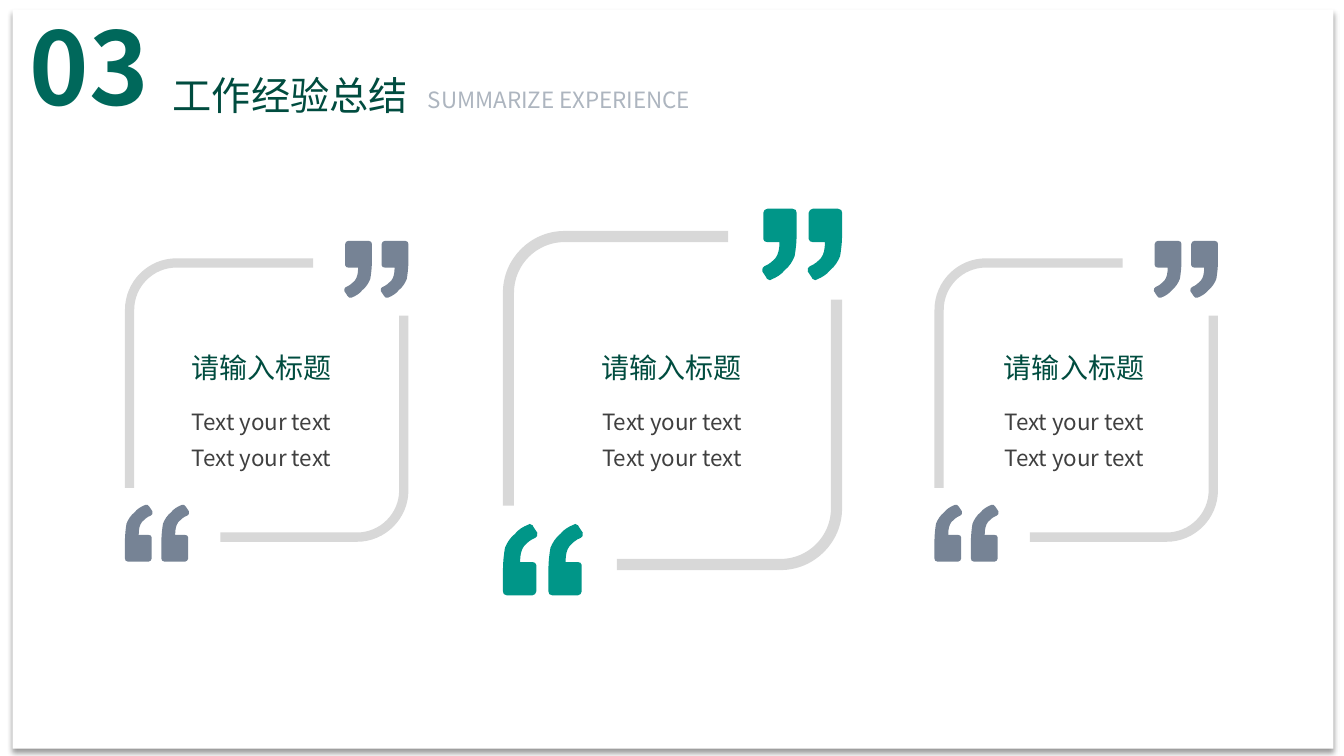
from lxml import etree
from pptx import Presentation
from pptx import util as u
from pptx.dml.color import RGBColor
from pptx.enum import shapes, text
from pptx.oxml import parse_xml
from pptx.oxml.ns import nsdecls, qn

PX = 9525
FONT = "Noto Sans CJK SC"
HUES = {
    "white": "FFFFFF", "frame": "D8D8D8", "slate": "768395", "teal": "009688",
    "deep": "00685B", "dark": "004C3F", "body": "404040", "pale": "ADB5BF",
}
LEFT, MID = text.PP_ALIGN.LEFT, text.PP_ALIGN.CENTER
GRID = 336  # units along one side of a card
MARK_W, MARK_H, STEP = 79, 70, 45
# Each part of an outline is one line end (1 point) or one cubic curve (3).
MARK = [
    [(28, 0)], [(29, 0), (30, 1), (30, 2)], [(34, 8)],
    [(34, 10), (34, 13), (32, 13)], [(27, 15), (24, 18), (21, 21)],
    [(18, 25), (17, 30), (17, 37)], [(29, 37)], [(31, 37), (33, 38), (33, 40)],
    [(33, 66)], [(33, 68), (31, 70), (29, 70)], [(4, 70)],
    [(1, 70), (0, 68), (0, 66)], [(0, 46)], [(0, 36), (1, 29), (2, 23)],
    [(4, 18), (7, 13), (12, 9)], [(15, 5), (20, 2), (25, 0)],
    [(26, -1), (27, -1), (28, 0)],
]


def color(name):
    return RGBColor.from_string(HUES[name])


def paint(shape, hue):
    shape.shadow.inherit = False
    shape.fill.solid()
    shape.fill.fore_color.rgb = color(hue)
    shape.line.fill.background()


def write(shape, box, words, size, hue, align=LEFT, bold=False, gap=None):
    shape.left, shape.top, shape.width, shape.height = (n * PX for n in box)
    frame = shape.text_frame
    frame.text = words
    frame.word_wrap = True
    frame.auto_size = text.MSO_AUTO_SIZE.NONE
    frame.vertical_anchor = text.MSO_ANCHOR.TOP
    for para in frame.paragraphs:
        para.alignment = align
        if gap:
            para.line_spacing = u.Pt(gap)
        for run in para.runs:
            font = run.font
            font.name, font.size, font.bold = FONT, u.Pt(size), bold
            font.color.rgb = color(hue)
            east = etree.SubElement(run._r.get_or_add_rPr(), qn("a:ea"))
            east.set("typeface", FONT)


def label(slide, box, *args, **style):
    write(slide.shapes.add_textbox(0, 0, 0, 0), box, *args, **style)


def bracket(wide, high, thick=11, turn=61):
    """Outline of a rounded corner with an arm to the right and one down."""
    out, near = turn * 0.45, thick + (turn - thick) * 0.45
    return [
        [(thick, turn)], [(thick, near), (near, thick), (turn, thick)],
        [(wide, thick)], [(wide, 0)], [(turn, 0)],
        [(out, 0), (0, out), (0, turn)], [(0, high)], [(thick, high)],
    ]


def draw(slide, loops, place, hue):
    """Draw closed loops as one shape; place maps a point to EMU."""
    loops = [[[place(*dot) for dot in part] for part in loop] for loop in loops]
    pen = slide.shapes.build_freeform(*loops[0][0][0], scale=1.0)
    for n, loop in enumerate(loops):
        if n:
            pen.move_to(*loop[0][0])
        pen.add_line_segments([part[-1] for part in loop[1:]], close=True)
    shape = pen.convert_to_shape()
    paint(shape, hue)
    lines = list(shape._element.iter(qn("a:lnTo")))
    parts = [part for loop in loops for part in loop[1:]]
    for line, part in zip(lines, parts):
        if len(part) == 3:
            bend(line, part, shape.left, shape.top)


def bend(line, part, left, top):
    """Swap a line of a path for a cubic curve."""
    curve = etree.Element(qn("a:cubicBezTo"))
    for x, y in part:
        etree.SubElement(curve, qn("a:pt"), x=str(x - left), y=str(y - top))
    line.getparent().replace(line, curve)


def card(slide, box, mark, hue, shift):
    """Quote card in a square box; shift moves its text off the centre."""
    left, top, side = box
    unit, zoom = side / GRID, mark / MARK_W
    quote = [[[(x + n * STEP, y) for x, y in part] for part in MARK] for n in (1, 0)]

    for flip, high, drop in ((True, 268, 323), (False, 272, 326)):
        def place(x, y):
            if flip:
                x, y = side - x, side - y
            return round((left + x) * PX), round((top + y) * PX)

        def frame(x, y):
            return place(x * unit, y * unit)

        def sign(x, y):
            return place(x * zoom, drop * unit + (y - MARK_H / 2) * zoom)

        draw(slide, [bracket(223, high)], frame, "frame")
        draw(slide, quote, sign, hue)

    mid, row = left + side // 2 + shift, top + side // 2
    label(slide, (mid - 103, row - 52, 206, 42), "请输入标题", 20, "dark", MID)
    label(slide, (mid - 95, row - 6, 190, 78), "Text your text\nText your text",
          16, "body", MID, gap=26)


def panel(slide, box):
    shape = slide.shapes.add_shape(shapes.MSO_SHAPE.RECTANGLE, *(n * PX for n in box))
    paint(shape, "white")
    props = shape._element.spPr
    props.remove(props.find(qn("a:effectLst")))
    props.append(parse_xml(
        f'<a:effectLst {nsdecls("a")}><a:outerShdw blurRad="50800" dist="38100" '
        'dir="5400000" algn="t" rotWithShape="0"><a:srgbClr val="000000">'
        '<a:alpha val="40000"/></a:srgbClr></a:outerShdw></a:effectLst>'))
    slide.shapes._spTree.insert(2, shape._element)  # behind the title


def header(slide, box):
    left, top = box
    label(slide, (left, top, 155, 126), "03", 72, "deep", bold=True)
    write(slide.shapes.title, (left + 136, top + 63, 246, 55), "工作经验总结", 28, "dark")
    label(slide, (left + 379, top + 77, 323, 36), "SUMMARIZE EXPERIENCE", 16, "pale")


def main():
    deck = Presentation()
    deck.slide_width, deck.slide_height = 1280 * PX, 720 * PX
    slide = deck.slides.add_slide(deck.slide_layouts[5])
    panel(slide, (12, 9, 1258, 704))
    for mid, side, mark, hue, shift in (
        (254, 270, 61, "slate", -5),
        (640, 323, 76, "teal", 0),
        (1025, 270, 61, "slate", -2),
    ):
        card(slide, (mid - side // 2, 381 - side // 2, side), mark, hue, shift)
    header(slide, (19, 0))
    deck.save("out.pptx")


if __name__ == "__main__":
    main()
